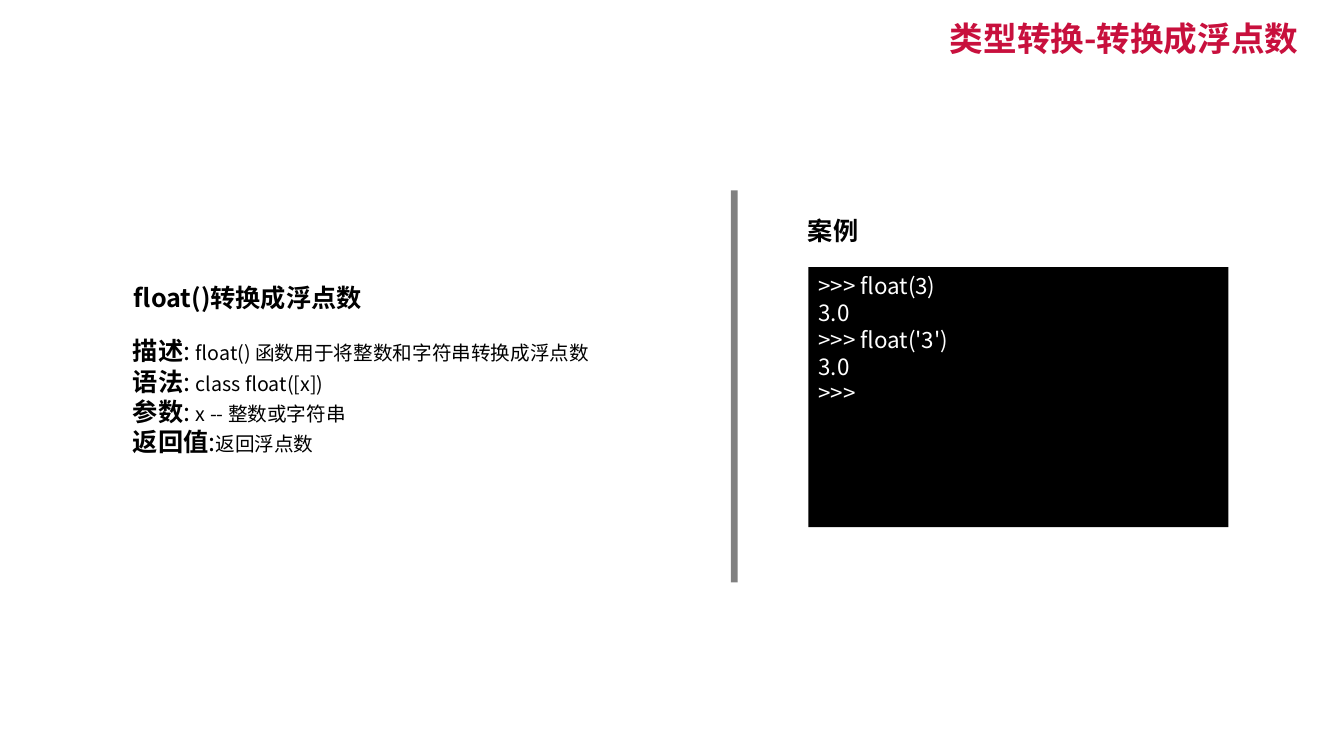
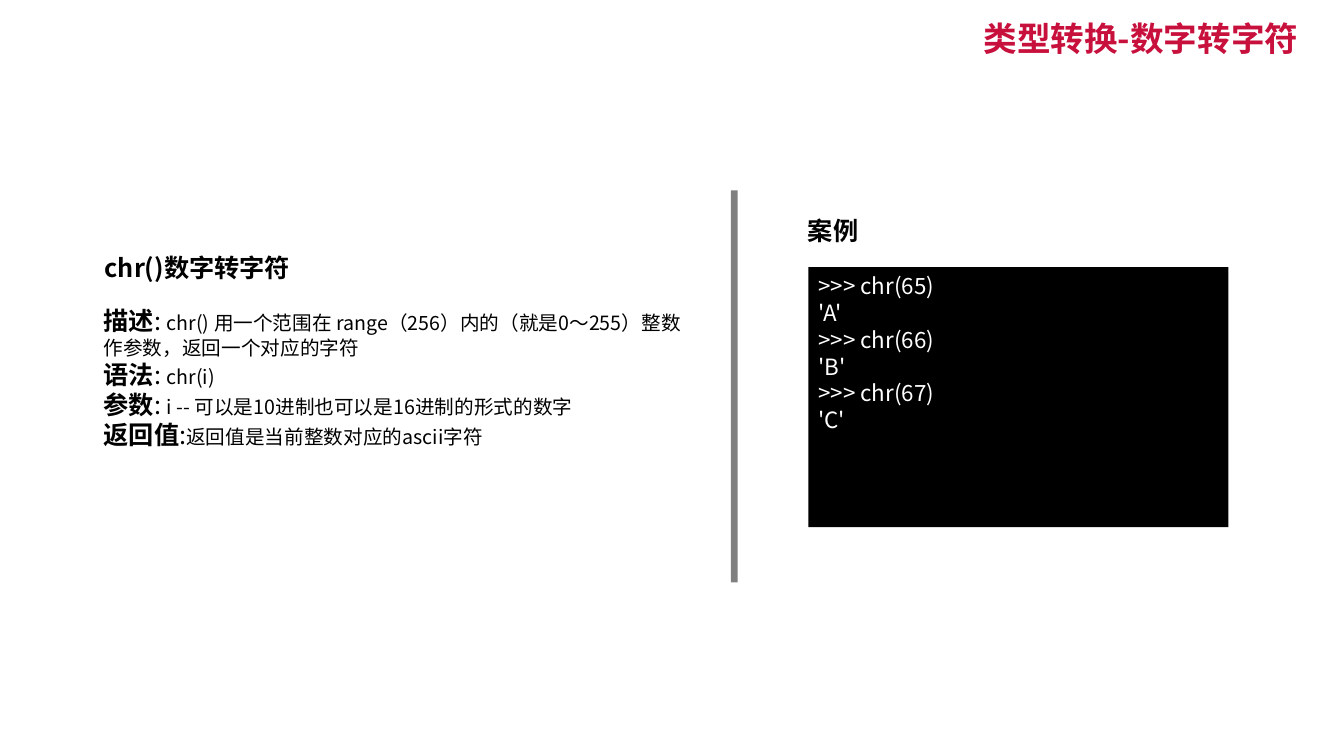
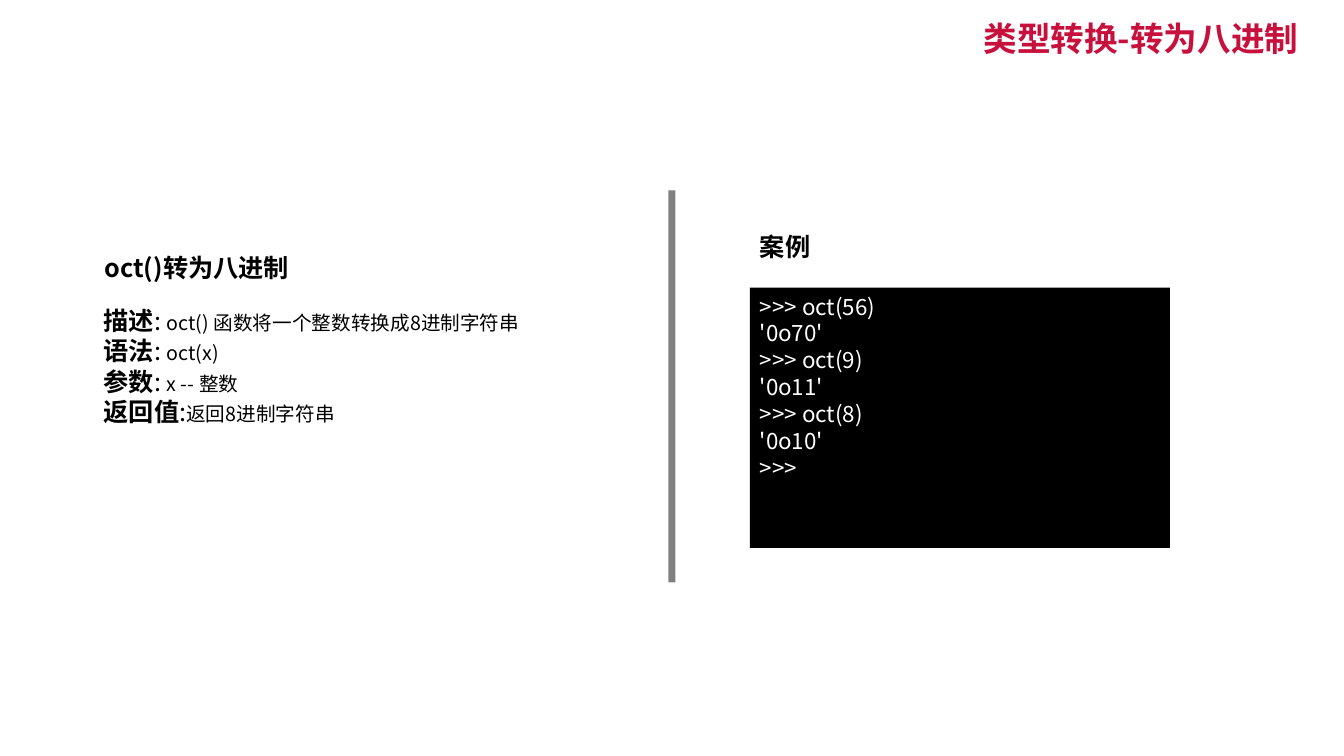
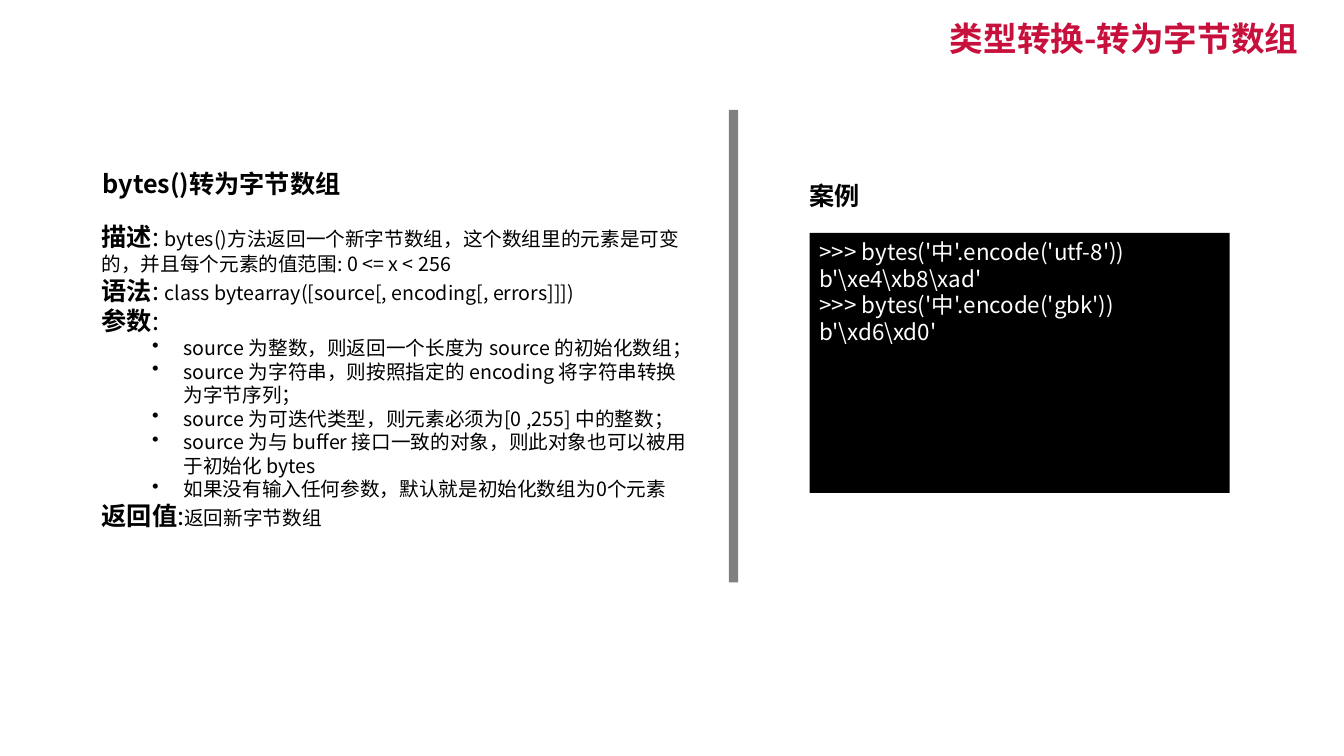
from dataclasses import dataclass

from lxml import etree
from pptx import Presentation
from pptx.dml.color import RGBColor
from pptx.enum.shapes import MSO_SHAPE
from pptx.enum.text import MSO_ANCHOR, MSO_AUTO_SIZE, PP_ALIGN
from pptx.oxml.ns import qn
from pptx.util import Pt

RECTANGLE = MSO_SHAPE.RECTANGLE
TOP, MIDDLE = MSO_ANCHOR.TOP, MSO_ANCHOR.MIDDLE
GROW = MSO_AUTO_SIZE.SHAPE_TO_FIT_TEXT
LEFT, RIGHT = PP_ALIGN.LEFT, PP_ALIGN.RIGHT


@dataclass(frozen=True)
class Theme:
    font: str = "Noto Sans CJK SC"
    accent: RGBColor = RGBColor(0xC8, 0x10, 0x3D)
    ink: RGBColor = RGBColor(0, 0, 0)
    paper: RGBColor = RGBColor(0xFF, 0xFF, 0xFF)
    divider: RGBColor = RGBColor(0x80, 0x80, 0x80)
    title: int = 24
    heading: int = 18
    code: int = 16
    body: int = 14


THEME = Theme()

# Places are (left, top) or (left, top, width, height) in points.
# A detail is (label, colon, text, bullets).
TOPICS = [
    dict(
        title="类型转换-转换成浮点数",
        heading="float()转换成浮点数",
        heading_at=(88.5, 198, 188.5),
        details_size=(391.5, 94.5),
        details=[
            ("描述", ": ", "float() 函数用于将整数和字符串转换成浮点数", []),
            ("语法", ": ", "class float([x])", []),
            ("参数", ": ", "x -- 整数或字符串", []),
            ("返回值", ":", "返回浮点数", []),
        ],
        divider=(522, 136, 5, 280),
        example_at=(570, 150.5),
        terminal_at=(577.5, 190.8),
        code=[">>> float(3)", "3.0", ">>> float('3')", "3.0", ">>>"],
    ),
    dict(
        title="类型转换-数字转字符",
        heading="chr()数字转字符",
        heading_at=(67.7, 176.4, 152),
        details_size=(433.5, 111.5),
        details=[
            ("描述", ": ", "chr() 用一个范围在 range（256）内的（就是0～255）整数作参数，返回一个对应的字符", []),
            ("语法", ": ", "chr(i)", []),
            ("参数", ": ", "i -- 可以是10进制也可以是16进制的形式的数字", []),
            ("返回值", ":", "返回值是当前整数对应的ascii字符", []),
        ],
        divider=(522, 136, 5, 280),
        example_at=(570, 150.5),
        terminal_at=(577.5, 190.8),
        code=[">>> chr(65)", "'A'", ">>> chr(66)", "'B'", ">>> chr(67)", "'C'"],
    ),
    dict(
        title="类型转换-转为八进制",
        heading="oct()转为八进制",
        heading_at=(67.7, 176.4, 152),
        details_size=(350.5, 94.5),
        details=[
            ("描述", ": ", "oct() 函数将一个整数转换成8进制字符串", []),
            ("语法", ": ", "oct(x)", []),
            ("参数", ": ", "x -- 整数", []),
            ("返回值", ":", "返回8进制字符串", []),
        ],
        divider=(477.4, 136, 5, 280),
        example_at=(535.7, 162),
        terminal_at=(535.7, 205.5),
        code=[">>> oct(56)", "'0o70'", ">>> oct(9)", "'0o11'", ">>> oct(8)", "'0o10'", ">>>"],
    ),
    dict(
        title="类型转换-转为字节数组",
        heading="bytes()转为字节数组",
        heading_at=(66.2, 116.6, 188.5),
        details_size=(433.5, 230.5),
        details=[
            ("描述", ": ", "bytes()方法返回一个新字节数组，这个数组里的元素是可变的，并且每个元素的值范围: 0 <= x < 256", []),
            ("语法", ": ", "class bytearray([source[, encoding[, errors]]])", []),
            ("参数", ":", "", [
                "source 为整数，则返回一个长度为 source 的初始化数组；",
                "source 为字符串，则按照指定的 encoding 将字符串转换为字节序列；",
                "source 为可迭代类型，则元素必须为[0 ,255] 中的整数；",
                "source 为与 buffer 接口一致的对象，则此对象也可以被用于初始化 bytes",
                "如果没有输入任何参数，默认就是初始化数组为0个元素",
            ]),
            ("返回值", ":", "返回新字节数组", []),
        ],
        divider=(520.7, 78.5, 6.5, 337.5),
        example_at=(571, 125.3),
        terminal_at=(578.3, 166.3),
        code=[
            ">>> bytes('中'.encode('utf-8'))",
            r"b'\xe4\xb8\xad'",
            ">>> bytes('中'.encode('gbk'))",
            r"b'\xd6\xd0'",
        ],
    ),
]


def add_box(slide, place, fill=None, wrap=True, anchor=TOP):
    """Add a filled rectangle, or a text box when there is no fill."""
    place = [Pt(length) for length in place]
    if fill is None:
        box = slide.shapes.add_textbox(*place)
        box.text_frame.auto_size = GROW
    else:
        box = slide.shapes.add_shape(RECTANGLE, *place)
        box.shadow.inherit = False
        box.fill.solid()
        box.fill.fore_color.rgb = fill
        box.line.fill.background()
    box.text_frame.word_wrap = wrap
    box.text_frame.vertical_anchor = anchor
    return box.text_frame


def add_line(frame, runs, size, color=THEME.ink, bold=False, bullet=False, align=LEFT):
    """Write one paragraph; runs are (text, own size or None, own bold or None)."""
    first = frame.paragraphs[0]
    line = frame.add_paragraph() if first.runs else first
    line.alignment = align
    properties = line._p.get_or_add_pPr()
    if bullet:
        line.level = 1
        properties.set("marL", str(Pt(58.5)))
        properties.set("indent", str(Pt(-22.5)))
        etree.SubElement(properties, qn("a:buChar")).set("char", "•")
    line.font.name = THEME.font
    line.font.size = Pt(size)
    line.font.bold = bold
    line.font.color.rgb = color
    east_asian = etree.SubElement(properties.find(qn("a:defRPr")), qn("a:ea"))
    east_asian.set("typeface", THEME.font)
    for text, own_size, own_bold in runs:
        run = line.add_run()
        run.text = text
        if own_size:
            run.font.size = Pt(own_size)
        if own_bold is not None:
            run.font.bold = own_bold
    return line


deck = Presentation()
deck.slide_width, deck.slide_height = Pt(960), Pt(540)

for topic in TOPICS:
    slide = deck.slides.add_slide(deck.slide_layouts[6])
    slide.background.fill.solid()
    slide.background.fill.fore_color.rgb = THEME.paper

    # Slide title
    title = add_box(slide, (480, 14.4, 454.5, 29.5), anchor=MIDDLE)
    title.auto_size = MSO_AUTO_SIZE.NONE
    title_line = add_line(title, [(topic["title"], None, None)], THEME.title,
                          THEME.accent, bold=True, align=RIGHT)
    title_line.line_spacing = 0.9

    # Function heading and its details
    left, top, width = topic["heading_at"]
    heading = add_box(slide, (left, top, width, 29), wrap=False)
    add_line(heading, [(topic["heading"], None, None)], THEME.heading, bold=True)

    details = add_box(slide, (left - 0.7, top + 38.2, *topic["details_size"]))
    for label, colon, text, bullets in topic["details"]:
        runs = [(label, None, True), (colon, None, None)]
        if text:
            runs.append((text, THEME.body, None))
        add_line(details, runs, THEME.heading)
        for bullet in bullets:
            add_line(details, [(bullet, None, None)], THEME.body, bullet=True)

    # Divider
    add_box(slide, topic["divider"], fill=THEME.divider)

    # Example with terminal
    example = add_box(slide, (*topic["example_at"], 51, 29), wrap=False)
    add_line(example, [("案例", None, None)], THEME.heading, bold=True)

    terminal = add_box(slide, (*topic["terminal_at"], 300, 185.8), fill=THEME.ink)
    for code in topic["code"]:
        add_line(terminal, [(code, None, None)], THEME.code, THEME.paper)

deck.save("out.pptx")
